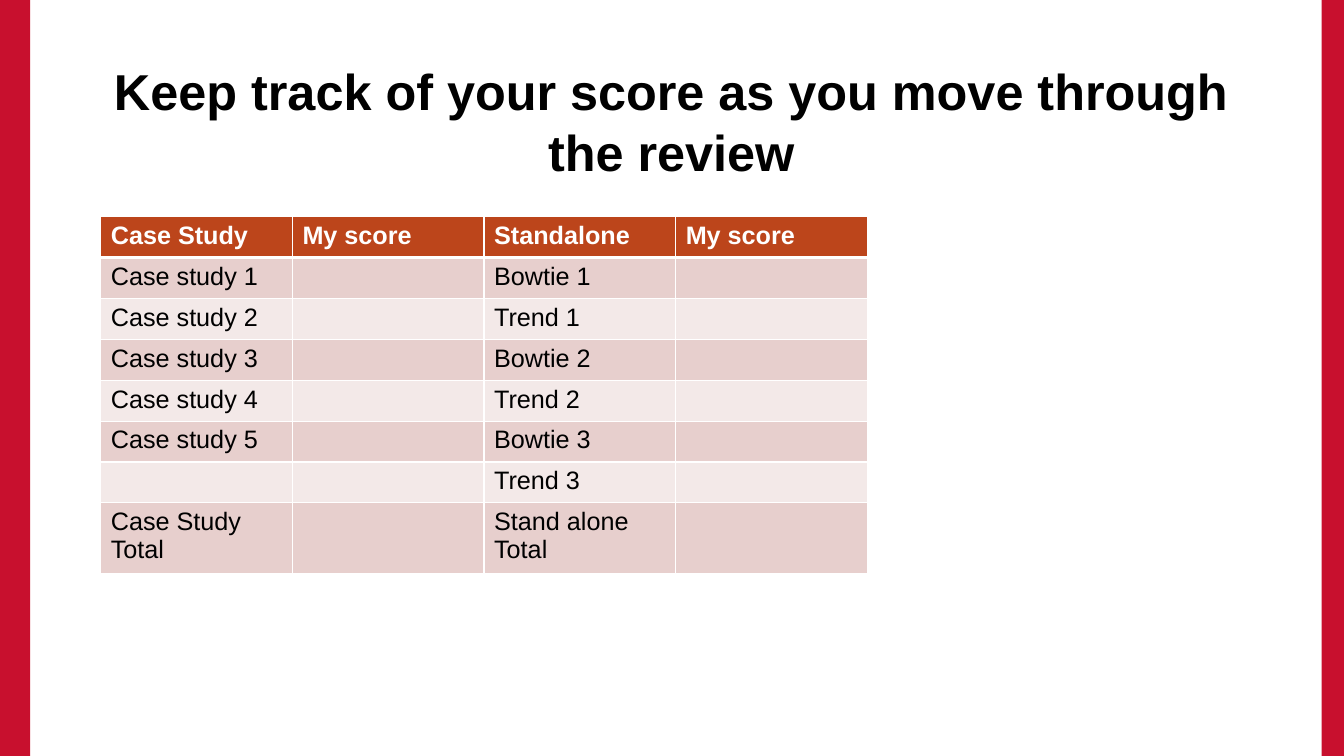
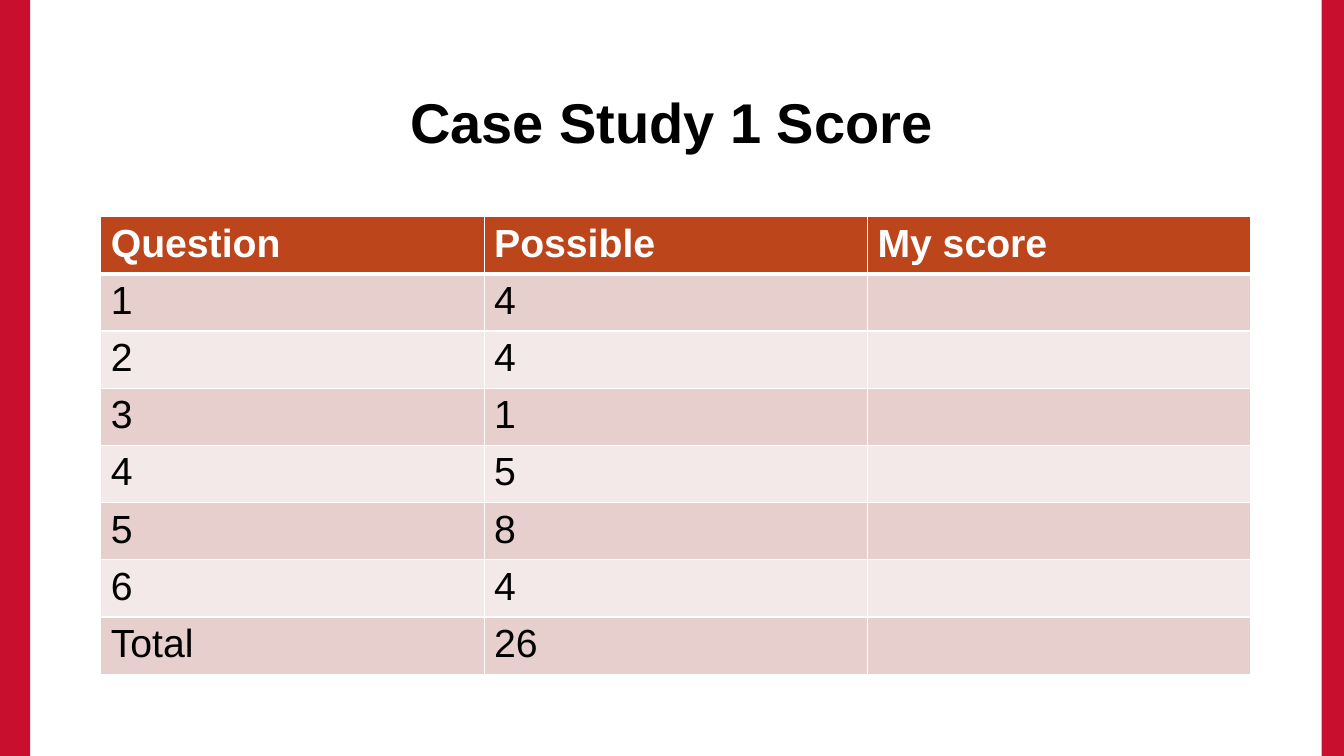
from typing import NamedTuple

from pptx import Presentation
from pptx.dml.color import RGBColor
from pptx.enum.shapes import MSO_SHAPE
from pptx.enum.text import MSO_ANCHOR, PP_ALIGN
from pptx.oxml import parse_xml
from pptx.oxml.ns import nsdecls
from pptx.util import Pt

COLORS = {
    "band": "C8102E",
    "head": "BC451B",
    "odd": "E7CFCD",
    "even": "F3E9E8",
    "light": "FFFFFF",
    "dark": "000000",
}
WIDTH, HEIGHT = 960, 540
LEFT = 72
ROW = 29.2
TITLE = {"name": "Arial", "bold": True}
HEAD = {"name": "Arial", "bold": True}
BODY = {"name": "Arial", "bold": False}


class Band(NamedTuple):
    left: float
    width: float


class Page(NamedTuple):
    title: str
    title_size: float
    column: float
    size: float
    rows: list[tuple[str, ...]]


BANDS = [Band(0, 21.6), Band(944, 16)]

PAGES = [
    Page(
        "Keep track of your score as you move through the review", 36, 136.9, 18,
        [
            ("Case Study", "My score", "Standalone", "My score"),
            ("Case study 1", "", "Bowtie 1", ""),
            ("Case study 2", "", "Trend 1", ""),
            ("Case study 3", "", "Bowtie 2", ""),
            ("Case study 4", "", "Trend 2", ""),
            ("Case study 5", "", "Bowtie 3", ""),
            ("", "", "Trend 3", ""),
            ("Case Study Total", "", "Stand alone Total", ""),
        ],
    ),
    Page(
        "Case Study 1 Score", 40, 273.8, 28,
        [
            ("Question", "Possible", "My score"),
            ("1", "4", ""),
            ("2", "4", ""),
            ("3", "1", ""),
            ("4", "5", ""),
            ("5", "8", ""),
            ("6", "4", ""),
            ("Total", "26", ""),
        ],
    ),
]


def color(name: str) -> RGBColor:
    return RGBColor.from_string(COLORS[name])


def style(font, values: dict, size: float, tone: str) -> None:
    for key, value in values.items():
        setattr(font, key, value)
    font.size = Pt(size)
    font.color.rgb = color(tone)


def add_band(slide, band: Band) -> None:
    shape = slide.shapes.add_shape(
        MSO_SHAPE.RECTANGLE, Pt(band.left), 0, Pt(band.width), Pt(HEIGHT))
    shape.shadow.inherit = False
    shape.fill.solid()
    shape.fill.fore_color.rgb = color("band")
    shape.line.fill.background()


def add_title(slide, text: str, size: float) -> None:
    box = slide.shapes.add_textbox(Pt(LEFT), Pt(48.2), Pt(815), Pt(76.3))
    frame = box.text_frame
    frame.word_wrap = True
    frame.vertical_anchor = MSO_ANCHOR.MIDDLE
    para = frame.paragraphs[0]
    para.alignment = PP_ALIGN.CENTER
    run = para.add_run()
    run.text = text
    style(run.font, TITLE, size, "dark")


def add_edges(cell, top: float, bottom: float) -> None:
    """Draw the light borders of a cell, one point wide at the sides."""
    props = cell._tc.get_or_add_tcPr()
    widths = {"lnL": 1, "lnR": 1, "lnT": top, "lnB": bottom}
    for index, (tag, width) in enumerate(widths.items()):
        props.insert(index, parse_xml(
            f'<a:{tag} {nsdecls("a")} w="{Pt(width)}"><a:solidFill>'
            f'<a:srgbClr val="{COLORS["light"]}"/></a:solidFill></a:{tag}>'))


def add_grid(slide, page: Page) -> None:
    rows, cols = len(page.rows), len(page.rows[0])
    table = slide.shapes.add_table(
        rows, cols, Pt(LEFT), Pt(154.8),
        Pt(page.column * cols), Pt(ROW * rows)).table
    for column in table.columns:
        column.width = Pt(page.column)
    for i, texts in enumerate(page.rows):
        table.rows[i].height = Pt(ROW)
        tone = "head" if i == 0 else "odd" if i % 2 else "even"
        for j, text in enumerate(texts):
            cell = table.cell(i, j)
            cell.fill.solid()
            cell.fill.fore_color.rgb = color(tone)
            add_edges(cell, 3 if i == 1 else 1, 3 if i == 0 else 1)
            if text:
                run = cell.text_frame.paragraphs[0].add_run()
                run.text = text
                style(run.font, BODY if i else HEAD, page.size,
                      "dark" if i else "light")


def main() -> None:
    deck = Presentation()
    deck.slide_width, deck.slide_height = Pt(WIDTH), Pt(HEIGHT)
    for page in PAGES:
        slide = deck.slides.add_slide(deck.slide_layouts[6])
        for band in BANDS:
            add_band(slide, band)
        add_title(slide, page.title, page.title_size)
        add_grid(slide, page)
    deck.save("out.pptx")


if __name__ == "__main__":
    main()
